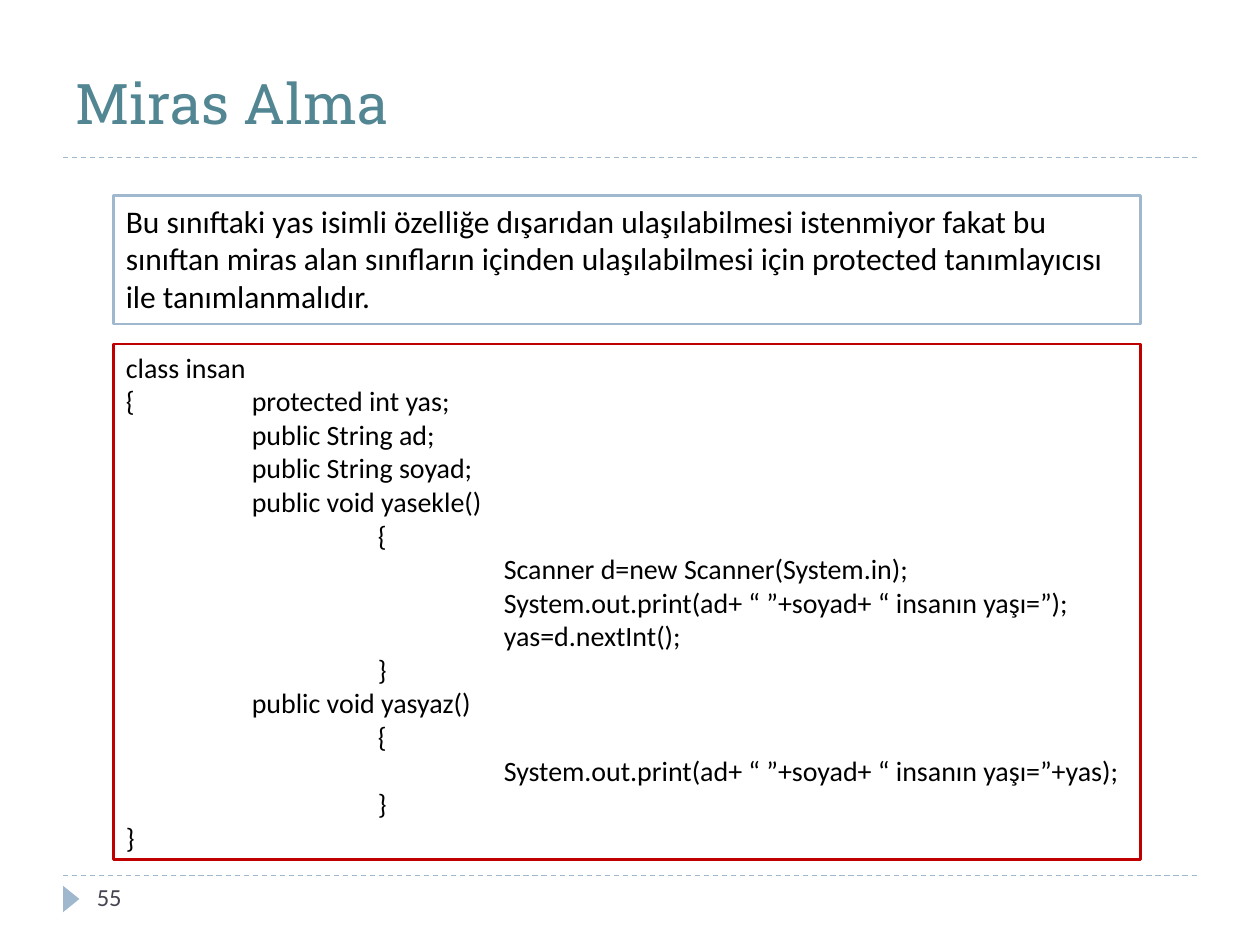
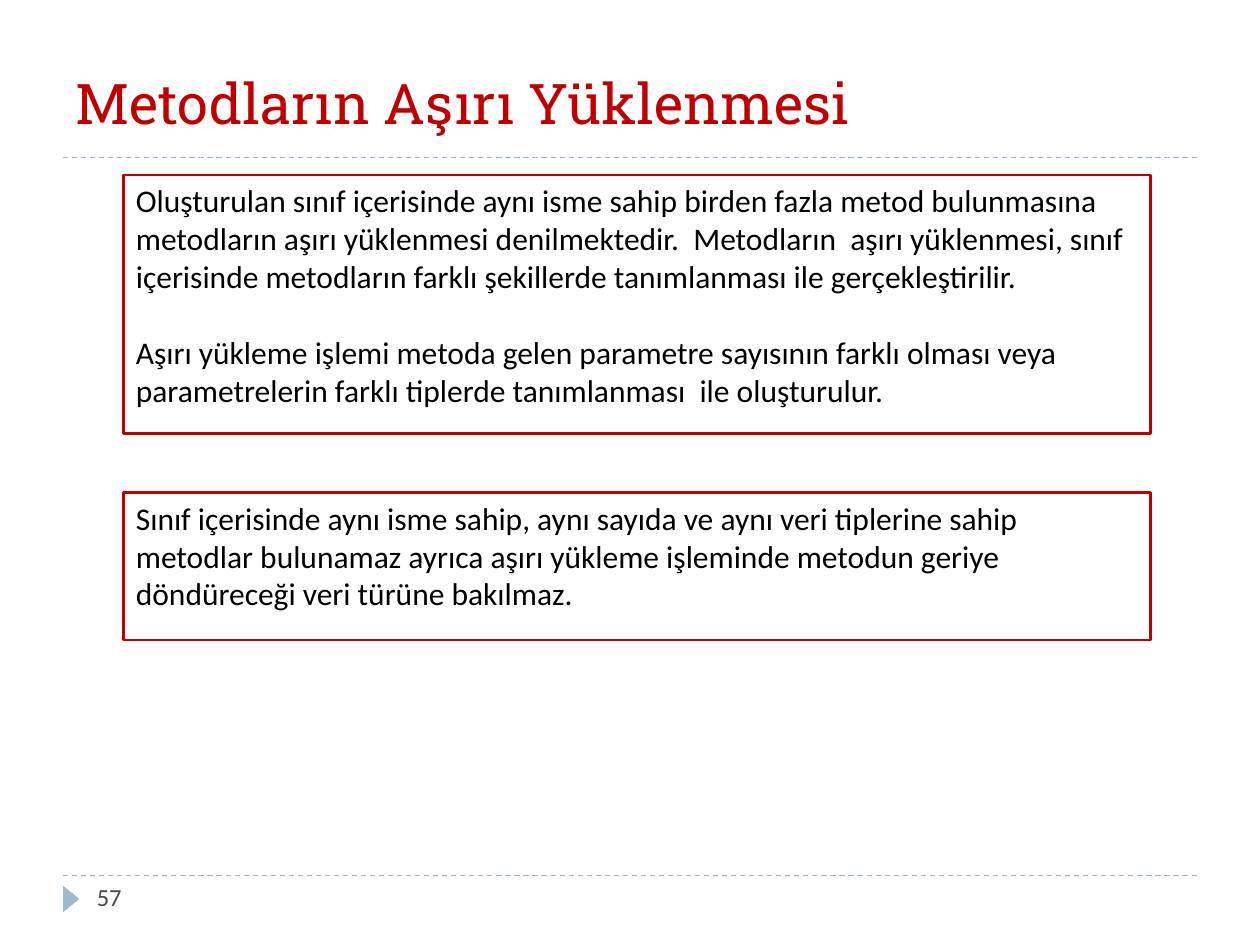
from lxml import etree
from pptx import Presentation
from pptx.dml.color import RGBColor
from pptx.enum.dml import MSO_LINE
from pptx.enum.shapes import MSO_CONNECTOR, MSO_SHAPE
from pptx.enum.text import MSO_ANCHOR, PP_ALIGN
from pptx.oxml.ns import qn
from pptx.util import Emu, Pt

BOX = MSO_SHAPE.ROUNDED_RECTANGLE
TRIANGLE = MSO_SHAPE.ISOSCELES_TRIANGLE
STRAIGHT = MSO_CONNECTOR.STRAIGHT
DASH = MSO_LINE.DASH
TOP, BOTTOM = MSO_ANCHOR.TOP, MSO_ANCHOR.BOTTOM
LEFT = PP_ALIGN.LEFT

WHITE = RGBColor(0xFF, 0xFF, 0xFF)
BLACK = RGBColor(0x00, 0x00, 0x00)
BLUE = RGBColor(0x9F, 0xB8, 0xCD)
TEAL = RGBColor(0x52, 0x86, 0x93)
RED = RGBColor(0xC0, 0x00, 0x00)
SLATE = RGBColor(0x46, 0x46, 0x53)

BODY, HEAD = "Calibri", "Roboto Slab"
SCALE = 9144  # EMU in one px, 100 px to the inch
TAB, TABS = 100, 3
BOX_W = 815

ACCESS = ("Bu sınıftaki yas isimli özelliğe dışarıdan ulaşılabilmesi istenmiyor "
          "fakat bu sınıftan miras alan sınıfların içinden ulaşılabilmesi için "
          "protected tanımlayıcısı ile tanımlanmalıdır.")
CODE = """class insan
{\tprotected int yas;
\tpublic String ad;
\tpublic String soyad;
\tpublic void yasekle()
\t\t{
\t\t\tScanner d=new Scanner(System.in);
\t\t\tSystem.out.print(ad+ “ ”+soyad+ “ insanın yaşı=”);
\t\t\tyas=d.nextInt();
\t\t}
\tpublic void yasyaz()
\t\t{
\t\t\tSystem.out.print(ad+ “ ”+soyad+ “ insanın yaşı=”+yas);
\t\t}
}"""
OVERLOAD = ("Oluşturulan sınıf içerisinde aynı isme sahip birden fazla metod "
            "bulunmasına metodların aşırı yüklenmesi denilmektedir.  Metodların  "
            "aşırı yüklenmesi, sınıf içerisinde metodların farklı şekillerde "
            "tanımlanması ile gerçekleştirilir.\n"
            "Aşırı yükleme işlemi metoda gelen parametre sayısının farklı olması "
            "veya parametrelerin farklı tiplerde tanımlanması  ile oluşturulur.")
LIMITS = ("Sınıf içerisinde aynı isme sahip, aynı sayıda ve aynı veri tiplerine "
          "sahip metodlar bulunamaz ayrıca aşırı yükleme işleminde metodun geriye "
          "döndüreceği veri türüne bakılmaz.")


def px(*sizes):
    return [Emu(size * SCALE) for size in sizes]


def add_tabs(para):
    stops = etree.SubElement(para._p.get_or_add_pPr(), qn("a:tabLst"))
    for step in range(1, TABS + 1):
        etree.SubElement(stops, qn("a:tab"), pos=str(step * TAB * SCALE), algn="l")


def write(shape, text, size=18, font=BODY, color=BLACK, anchor=TOP, pad=5, gap=0):
    """Put one paragraph per line of text; pad is the inset above and below."""
    frame = shape.text_frame
    frame.word_wrap = True
    frame.vertical_anchor = anchor
    frame.margin_top, frame.margin_bottom = px(pad, pad)
    for i, line in enumerate(text.split("\n")):
        para = frame.add_paragraph() if i else frame.paragraphs[0]
        para.alignment = LEFT
        if i and gap:
            para.space_before = Pt(gap)
        if "\t" in line:
            add_tabs(para)
        run = para.add_run()
        run.text = line
        run.font.size, run.font.name = Pt(size), font
        run.font.color.rgb = color


def add_label(slide, area, text, **style):
    write(slide.shapes.add_textbox(*px(*area)), text, **style)


def add_box(slide, left, top, height, text, edge=RED, **style):
    box = slide.shapes.add_shape(BOX, *px(left, top, BOX_W, height))
    box.adjustments[0] = 0
    box.shadow.inherit = False
    box.fill.solid()
    box.fill.fore_color.rgb = WHITE
    box.line.color.rgb = edge
    box.line.width = Pt(1.5)
    write(box, text, **style)


def add_rule(slide, top):
    rule = slide.shapes.add_connector(STRAIGHT, *px(50, top, 950, top))
    rule.line.color.rgb = BLUE
    rule.line.width = Pt(0.75)
    rule.line.dash_style = DASH
    etree.SubElement(rule._element.spPr, qn("a:effectLst"))


def add_mark(slide):
    mark = slide.shapes.add_shape(TRIANGLE, *px(46, 707, 21, 13))
    mark.rotation = 90
    mark.shadow.inherit = False
    mark.fill.solid()
    mark.fill.fore_color.rgb = BLUE
    mark.line.fill.background()


def add_page(deck, title, number, color):
    """Add a slide with its rules, marker, title and page number."""
    slide = deck.slides.add_slide(deck.slide_layouts[6])
    for top in (695, 125):
        add_rule(slide, top)
    add_mark(slide)
    add_label(slide, (50, 50, 900, 58), title, size=32, font=HEAD,
              color=color, anchor=BOTTOM, pad=0)
    add_label(slide, (67, 695, 217, 40), number, size=14, color=SLATE)
    return slide


def main():
    deck = Presentation()
    deck.slide_width, deck.slide_height = px(1000, 750)

    heirs = add_page(deck, "Miras Alma", "55", TEAL)
    add_box(heirs, 90, 155, 102, ACCESS, edge=BLUE)
    add_box(heirs, 90, 273, 409, CODE, size=16)

    loads = add_page(deck, "Metodların Aşırı Yüklenmesi", "57", RED)
    add_box(loads, 98, 139, 205, OVERLOAD, gap=22)
    add_box(loads, 98, 391, 117, LIMITS)

    deck.save("out.pptx")


if __name__ == "__main__":
    main()
